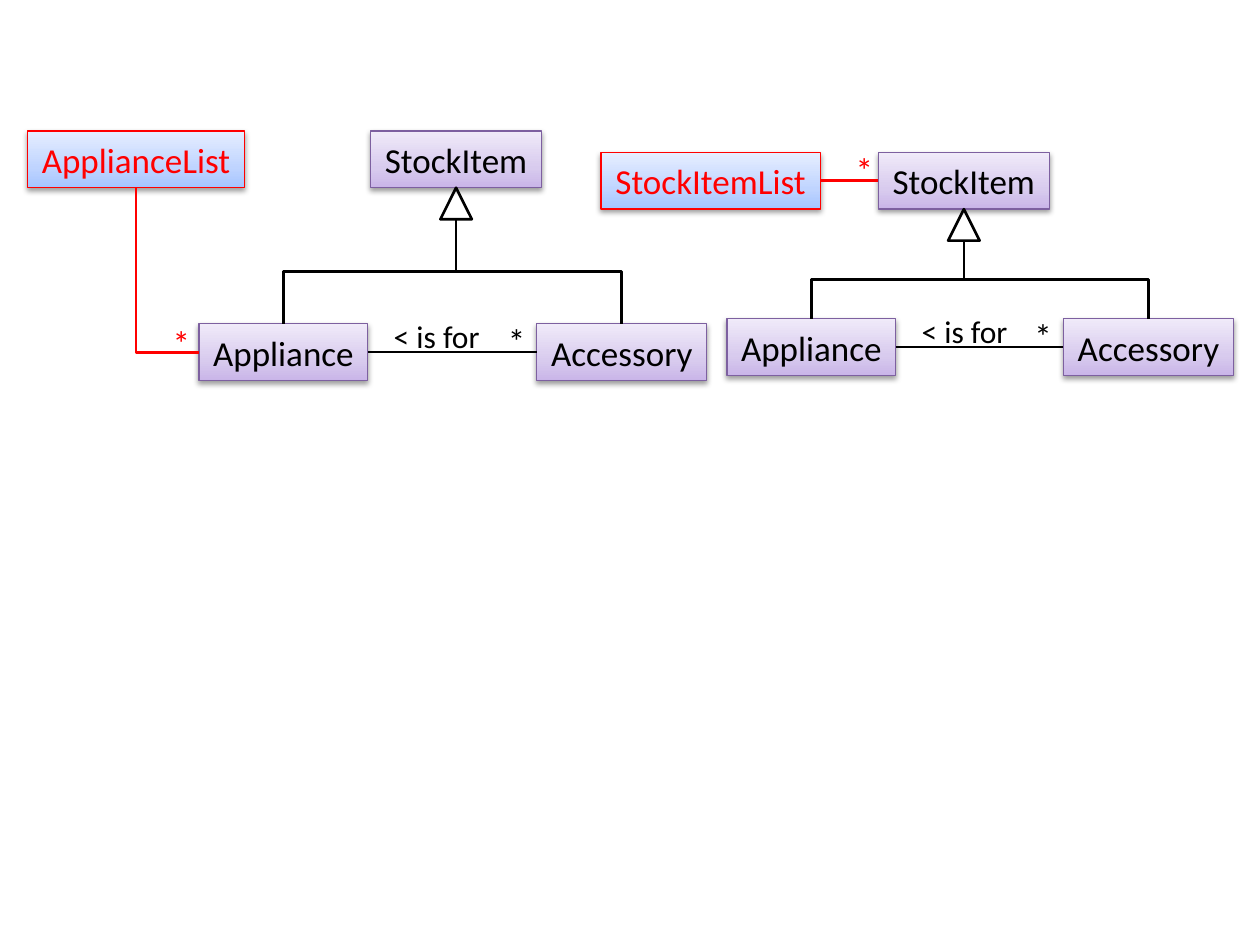
"""Builds a slide with two class diagrams that place a list class differently."""
import pptx
import pptx.dml.color
import pptx.enum.shapes
import pptx.enum.text
import pptx.oxml
import pptx.oxml.ns
import pptx.util

Inches = pptx.util.Inches
RGBColor = pptx.dml.color.RGBColor
SHAPE = pptx.enum.shapes.MSO_SHAPE
CONNECTOR = pptx.enum.shapes.MSO_CONNECTOR
qn = pptx.oxml.ns.qn

BLACK = RGBColor(0, 0, 0)
RED = RGBColor(0xFF, 0, 0)
PURPLE = RGBColor(0x7D, 0x60, 0xA0)
LILAC = [(0, RGBColor(0xC9, 0xB5, 0xE8)), (35, RGBColor(0xD8, 0xCB, 0xEE)),
         (100, RGBColor(0xF0, 0xEA, 0xF9))]
SKY = [(0, RGBColor(0xA4, 0xC4, 0xFF)), (35, RGBColor(0xBF, 0xD4, 0xFF)),
       (100, RGBColor(0xE6, 0xEE, 0xFF))]

FONT = "Calibri"
BOX_HEIGHT = 0.45
ARROW = 0.25
TOP, LEFT, BOTTOM, RIGHT = range(4)

DIAGRAMS = [
    {"parent": ("StockItem", 2.94, 1.04, 1.36),
     "children": [("Appliance", 1.58, 2.57, 1.34), ("Accessory", 4.26, 2.57, 1.35)],
     "list": ("ApplianceList", 0.22, 1.04, 1.72),
     "list_star": (1.27, 2.5), "list_holds": "Appliance"},
    {"parent": ("StockItem", 6.97, 1.21, 1.36),
     "children": [("Appliance", 5.77, 2.53, 1.34), ("Accessory", 8.44, 2.53, 1.35)],
     "list": ("StockItemList", 4.77, 1.21, 1.74),
     "list_star": (6.69, 1.13), "list_holds": "StockItem"},
]
RELATION = "< is for"
MANY = "*"


def write(shape, text, size, color, wrap=False):
    frame = shape.text_frame
    frame.word_wrap = wrap
    frame.auto_size = pptx.enum.text.MSO_AUTO_SIZE.SHAPE_TO_FIT_TEXT
    frame.vertical_anchor = pptx.enum.text.MSO_ANCHOR.MIDDLE
    para = frame.paragraphs[0]
    para.alignment = pptx.enum.text.PP_ALIGN.CENTER
    span = para.add_run()
    span.text = text
    span.font.name = FONT
    span.font.size = pptx.util.Pt(size)
    span.font.color.rgb = color


def add_class(page, place, stops, line, color):
    name, left, top, width = place
    box = page.shapes.add_shape(SHAPE.RECTANGLE, Inches(left), Inches(top),
                                Inches(width), Inches(BOX_HEIGHT))
    box.fill.gradient()
    box.fill.gradient_angle = 90
    stop_list = box._element.spPr.find(qn("a:gradFill")).find(qn("a:gsLst"))
    for stop in list(stop_list):
        stop_list.remove(stop)
    for percent, shade in stops:
        stop_list.append(pptx.oxml.parse_xml(
            f'<a:gs {pptx.oxml.ns.nsdecls("a")} pos="{percent * 1000}">'
            f'<a:srgbClr val="{shade}"/></a:gs>'))
    box.line.color.rgb = line
    box.line.width = pptx.util.Pt(0.75)
    box.shadow.inherit = False
    box._element.spPr.find(qn("a:effectLst")).append(pptx.oxml.parse_xml(
        f'<a:outerShdw {pptx.oxml.ns.nsdecls("a")} blurRad="40000" dist="20000" '
        'dir="5400000" rotWithShape="0"><a:srgbClr val="000000">'
        '<a:alpha val="38000"/></a:srgbClr></a:outerShdw>'))
    write(box, name, 20, color)
    return box


def add_label(page, text, left, top, width, height, size, color, wrap):
    box = page.shapes.add_textbox(Inches(left), Inches(top), Inches(width), Inches(height))
    write(box, text, size, color, wrap)


def add_star(page, left, top, color):
    add_label(page, MANY, left, top, 0.34, 0.43, 20, color, True)


def add_line(page, kind, ends, color):
    line = page.shapes.add_connector(kind, *(Inches(value) for value in ends))
    line.line.color.rgb = color
    line.line.width = pptx.util.Pt(1.5)
    pptx.oxml.ns.qn("a:effectLst")
    line._element.spPr.append(
        pptx.oxml.parse_xml(f'<a:effectLst {pptx.oxml.ns.nsdecls("a")}/>'))
    return line


def join(page, left_box, right_box, color):
    line = add_line(page, CONNECTOR.STRAIGHT, (0, 0, 1, 1), color)
    line.begin_connect(left_box, RIGHT)
    line.end_connect(right_box, LEFT)


def add_elbow_down(page, start, end, color, preset="bentConnector3"):
    (x1, y1), (x2, y2) = start, end
    middle_x, middle_y = (x1 + x2) / 2, (y1 + y2) / 2
    half_width, half_height = abs(y2 - y1) / 2, abs(x2 - x1) / 2
    line = add_line(page, CONNECTOR.ELBOW,
                    (middle_x - half_width, middle_y - half_height,
                     middle_x + half_width, middle_y + half_height), color)
    properties = line._element.spPr
    properties.find(qn("a:prstGeom")).set("prst", preset)
    frame = properties.find(qn("a:xfrm"))
    frame.set("rot", str((90 if x2 < x1 else 270) * 60000))
    if x2 > x1:
        frame.set("flipH", "1")


def center(place):
    return place[1] + place[3] / 2


def add_inheritance(page, parent, children):
    middle, top = center(parent), parent[2] + BOX_HEIGHT
    arrow = page.shapes.add_shape(SHAPE.ISOSCELES_TRIANGLE, Inches(middle - ARROW / 2),
                                  Inches(top), Inches(ARROW), Inches(ARROW))
    arrow.fill.background()
    arrow.line.color.rgb = BLACK
    arrow.line.width = pptx.util.Pt(1.5)
    arrow.shadow.inherit = False
    for child in children:
        add_elbow_down(page, (middle, top + ARROW), (center(child), child[2]), BLACK)


def add_diagram(page, diagram):
    parent, children, holder = diagram["parent"], diagram["children"], diagram["list"]
    places = {place[0]: place for place in [parent, *children]}
    boxes = {name: add_class(page, place, LILAC, PURPLE, BLACK)
             for name, place in places.items()}
    appliance, accessory = children
    join(page, boxes["Appliance"], boxes["Accessory"], BLACK)
    add_star(page, accessory[1] - 0.33, accessory[2] - 0.08, BLACK)
    add_inheritance(page, parent, children)
    add_label(page, RELATION, appliance[1] + appliance[3] + 0.1, appliance[2] - 0.1,
              0.89, 0.4, 18, BLACK, False)

    list_box = add_class(page, holder, SKY, RED, RED)
    add_star(page, *diagram["list_star"], RED)
    held = places[diagram["list_holds"]]
    if held[2] == holder[2]:
        join(page, list_box, boxes[held[0]], RED)
    else:
        add_elbow_down(page, (center(holder), holder[2] + BOX_HEIGHT),
                       (held[1], held[2] + BOX_HEIGHT / 2), RED, "bentConnector2")


def main():
    deck = pptx.Presentation()
    deck.slide_width, deck.slide_height = Inches(10), Inches(7.5)
    page = deck.slides.add_slide(deck.slide_layouts[6])
    for diagram in DIAGRAMS:
        add_diagram(page, diagram)
    deck.save("out.pptx")


if __name__ == "__main__":
    main()
